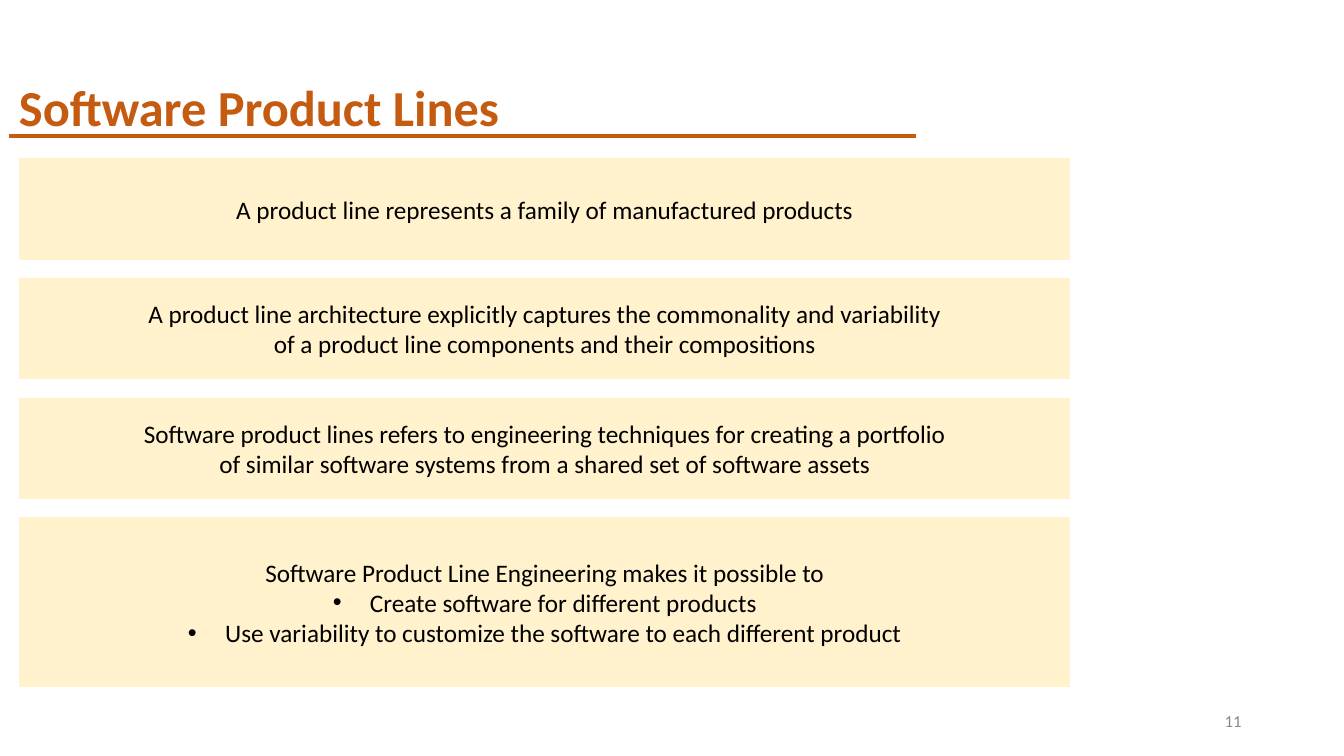
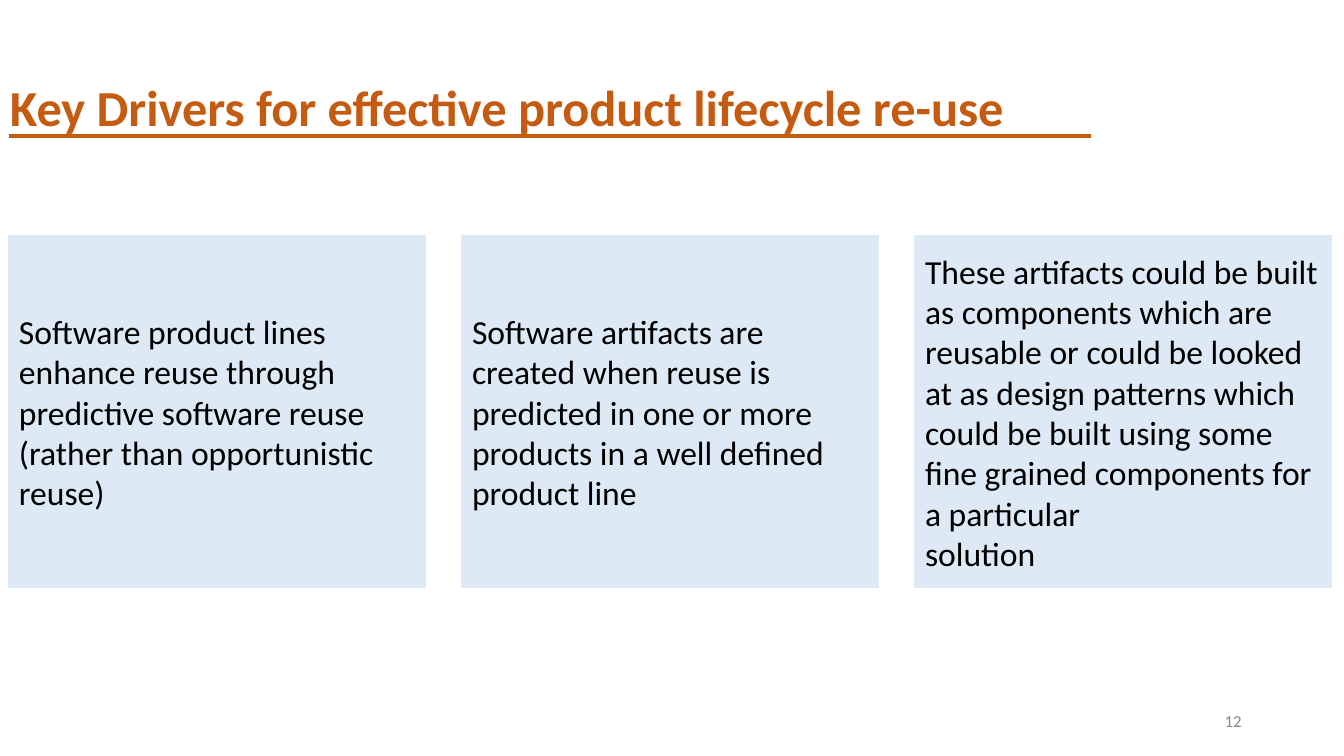
from dataclasses import dataclass
from typing import NamedTuple

from lxml.etree import SubElement
from pptx import Presentation
from pptx.dml.color import RGBColor
from pptx.enum.shapes import MSO_CONNECTOR as Connector, MSO_SHAPE as Preset
from pptx.enum.text import MSO_ANCHOR as Anchor, PP_ALIGN as Align
from pptx.oxml.ns import qn
from pptx.util import Pt


class Box(NamedTuple):
    left: float
    top: float
    width: float
    height: float

    def lengths(self):
        return [Pt(value) for value in self]


@dataclass(frozen=True)
class Theme:
    font: str = "Calibri"
    accent: RGBColor = RGBColor(0xC5, 0x5A, 0x11)
    ink: RGBColor = RGBColor(0, 0, 0)
    muted: RGBColor = RGBColor(0x88, 0x88, 0x88)
    cream: RGBColor = RGBColor(0xFF, 0xF2, 0xCC)
    sky: RGBColor = RGBColor(0xDD, 0xEA, 0xF6)
    title_size: int = 36
    card_size: int = 24
    banner_size: int = 18
    number_size: int = 12
    rule_width: int = 3
    bullet_indent: float = 22.5


THEME = Theme()
PAGE = Box(0, 0, 960, 540)
NUMBER_BOX = Box(678, 500.4, 216, 28.8)
RULE_LEFT, RULE_TOP = 6.5, 97.2
BULLET = "• "

BANNERS = [
    ["A product line represents a family of manufactured products"],
    ["A product line architecture explicitly captures the commonality and variability",
     "of a product line components and their compositions"],
    ["Software product lines refers to engineering techniques for creating a portfolio",
     "of similar software systems from a shared set of software assets"],
    ["Software Product Line Engineering makes it possible to",
     "• Create software for different products",
     "• Use variability to customize the software to each different product"],
]
CARDS = [
    ["Software product lines enhance reuse through predictive software reuse "
     "(rather than opportunistic reuse)"],
    ["Software artifacts are created when reuse is predicted in one or more "
     "products in a well defined product line"],
    ["These artifacts could be built as components which are reusable or could be "
     "looked at as design patterns which could be built using some fine grained "
     "components for a particular",
     "solution"],
]


def add_bullet(para):
    props = para._p.get_or_add_pPr()
    indent = Pt(THEME.bullet_indent)
    props.set("marL", str(indent))
    props.set("indent", str(-indent))
    SubElement(props, qn("a:buFont")).set("typeface", "Arial")
    SubElement(props, qn("a:buChar")).set("char", "•")


def write(shape, lines, size, color, align=Align.LEFT, anchor=Anchor.MIDDLE, bold=False):
    frame = shape.text_frame
    frame.word_wrap = True
    frame.vertical_anchor = anchor
    frame.text = "\n".join(lines)
    for para in frame.paragraphs:
        para.alignment = align
        if para.text.startswith(BULLET):
            para.text = para.text[1:]
            add_bullet(para)
        for span in para.runs:
            span.font.name = THEME.font
            span.font.size = Pt(size)
            span.font.bold = bold
            span.font.color.rgb = color


def add_panel(page, box, lines, fill, size, align):
    panel = page.shapes.add_shape(Preset.RECTANGLE, *box.lengths())
    panel.shadow.inherit = False
    panel.fill.solid()
    panel.fill.fore_color.rgb = fill
    panel.line.color.rgb = fill
    panel.line.width = Pt(1)
    write(panel, lines, size, THEME.ink, align)


def add_page(deck, title, title_box, rule_length, number):
    page = deck.slides.add_slide(deck.slide_layouts[6])
    heading = page.shapes.add_textbox(*title_box.lengths())
    write(heading, [title], THEME.title_size, THEME.accent, anchor=Anchor.TOP, bold=True)
    rule = page.shapes.add_connector(
        Connector.STRAIGHT, Pt(RULE_LEFT), Pt(RULE_TOP),
        Pt(RULE_LEFT + rule_length), Pt(RULE_TOP))
    rule.line.color.rgb = THEME.accent
    rule.line.width = Pt(THEME.rule_width)
    SubElement(rule._element.spPr, qn("a:effectLst"))
    footer = page.shapes.add_textbox(*NUMBER_BOX.lengths())
    write(footer, [str(number)], THEME.number_size, THEME.muted, Align.RIGHT)
    return page


def add_banner_stack(page, box, banners, height=71.3, gap=14.2):
    bottom = box.top + box.height
    for index, lines in enumerate(banners):
        top = box.top + index * (height + gap)
        is_last = index == len(banners) - 1
        banner = Box(box.left, top, box.width, bottom - top if is_last else height)
        add_panel(page, banner, lines, THEME.cream, THEME.banner_size, Align.CENTER)


def add_card_row(page, box, cards, gap=26.2):
    width = (box.width - gap * (len(cards) - 1)) / len(cards)
    for index, lines in enumerate(cards):
        card = Box(box.left + index * (width + gap), box.top, width, box.height)
        add_panel(page, card, lines, THEME.sky, THEME.card_size, Align.LEFT)


def main():
    deck = Presentation()
    deck.slide_width, deck.slide_height = Pt(PAGE.width), Pt(PAGE.height)

    page = add_page(deck, "Software Product Lines", Box(6.5, 51, 648, 36), 648, 11)
    add_banner_stack(page, Box(14.2, 113.6, 750, 376.6), BANNERS)

    page = add_page(deck, "Key Drivers for effective product lifecycle re-use",
                    Box(0, 51, 793.4, 36), 772.6, 12)
    add_card_row(page, Box(6.5, 168.5, 944.6, 251.3), CARDS)

    deck.save("out.pptx")


if __name__ == "__main__":
    main()
